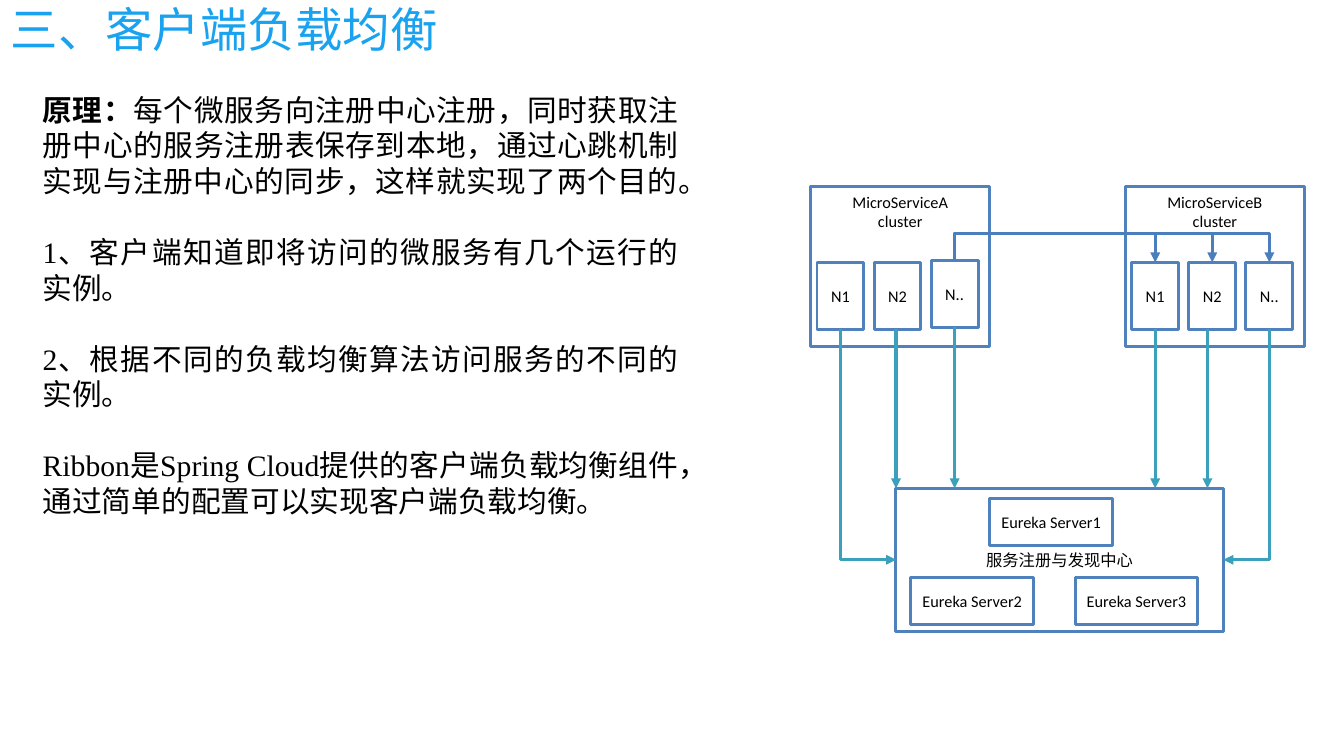
from lxml import etree
from pptx import Presentation
from pptx.dml.color import RGBColor
from pptx.enum.shapes import MSO_CONNECTOR, MSO_SHAPE
from pptx.enum.text import MSO_ANCHOR, MSO_AUTO_SIZE, PP_ALIGN
from pptx.oxml.ns import qn
from pptx.util import Inches, Pt

RECT = MSO_SHAPE.RECTANGLE
STRAIGHT, ELBOW = MSO_CONNECTOR.STRAIGHT, MSO_CONNECTOR.ELBOW
TOP, MIDDLE = MSO_ANCHOR.TOP, MSO_ANCHOR.MIDDLE
LEFT, CENTER, JUSTIFY = PP_ALIGN.LEFT, PP_ALIGN.CENTER, PP_ALIGN.JUSTIFY
NO_FIT = MSO_AUTO_SIZE.NONE

COLORS = {
    "title": "18A2EF",
    "text": "000000",
    "fill": "FFFFFF",
    "edge": "4F81BD",
    "call": "4B7EBC",
    "sync": "3BA0BB",
}
BODY = [
    ("原理：", "每个微服务向注册中心注册，同时获取注册中心的服务注册表保存到本地，"
              "通过心跳机制实现与注册中心的同步，这样就实现了两个目的。"),
    ("", "1、客户端知道即将访问的微服务有几个运行的实例。"),
    ("", "2、根据不同的负载均衡算法访问服务的不同的实例。"),
    ("", "Ribbon是Spring Cloud提供的客户端负载均衡组件，通过简单的配置可以实现客户端负载均衡。"),
]
NODES = ["N1", "N2", "N.."]
NODE_W, NODE_H, NODE_Y, STEP = 0.44, 0.63, 2.46, 0.535
HUB_X, HUB_Y, HUB_W, HUB_H = 8.4, 4.58, 3.07, 1.34
BUS_Y = 2.19


def color(name):
    return RGBColor.from_string(COLORS[name])


class Board:
    def __init__(self, slide):
        self.slide = slide
        self.shapes = slide.shapes

    def style(self, run, size, font, tone="text", bold=False):
        run.font.size = Pt(size)
        run.font.name = font
        run.font.bold = bold
        run.font.color.rgb = color(tone)

    def place(self, shape, x, y, w, h):
        shape.left, shape.top = Inches(x), Inches(y)
        shape.width, shape.height = Inches(w), Inches(h)

    def title(self, text):
        shape = self.shapes.title
        self.place(shape, 0, -0.01, 10.87, 0.56)
        frame = shape.text_frame
        frame.text = text
        frame.auto_size = NO_FIT
        frame.vertical_anchor = MIDDLE
        para = frame.paragraphs[0]
        para.alignment = LEFT
        self.style(para.runs[0], 32, "Arial", "title")

    def body(self, items):
        shape = self.slide.placeholders[1]
        self.place(shape, 0.3, 0.81, 6.16, 4.81)
        frame = shape.text_frame
        frame.auto_size = NO_FIT
        frame.vertical_anchor = TOP
        for i, (lead, text) in enumerate(items):
            para = frame.add_paragraph() if i else frame.paragraphs[0]
            para.alignment = JUSTIFY
            para.space_before = Pt(24 if i else 0)
            props = para._p.get_or_add_pPr()
            props.set("marL", "0")
            props.set("indent", "0")
            etree.SubElement(props, qn("a:buNone"))
            for part in filter(None, (lead, text)):
                run = para.add_run()
                run.text = part
                self.style(run, 20, "Times New Roman", bold=part == lead)

    def box(self, host, text, x, y, w, h, anchor=MIDDLE):
        shape = host.shapes.add_shape(
            RECT, Inches(x), Inches(y), Inches(w), Inches(h))
        shape.shadow.inherit = False
        shape.fill.solid()
        shape.fill.fore_color.rgb = color("fill")
        shape.line.color.rgb = color("edge")
        shape.line.width = Pt(2)
        frame = shape.text_frame
        frame.text = text
        frame.word_wrap = True
        frame.vertical_anchor = anchor
        frame.margin_left = frame.margin_right = Inches(0.05)
        for para in frame.paragraphs:
            para.alignment = CENTER
            self.style(para.runs[0], 11, "Calibri")

    def cluster(self, name, x, lift=0):
        """Draw a service with its nodes, the last one raised by lift; return node centres."""
        group = self.shapes.add_group_shape()
        self.box(group, f"{name}\ncluster", x, 1.75, 1.68, 1.5, TOP)
        mids = []
        for i, node in enumerate(NODES):
            left = x + 0.06 + i * STEP
            top = NODE_Y - (lift if node == NODES[-1] else 0)
            self.box(group, node, left, top, NODE_W, NODE_H)
            mids.append(left + NODE_W / 2)
        return mids

    def arrow(self, kind, x1, y1, x2, y2, tone):
        line = self.shapes.add_connector(
            kind, Inches(x1), Inches(y1), Inches(x2), Inches(y2))
        line.line.color.rgb = color(tone)
        line.line.width = Pt(2.25)
        etree.SubElement(line.line._get_or_add_ln(), qn("a:tailEnd"), type="triangle")
        etree.SubElement(line._element.spPr, qn("a:effectLst"))
        return line

    def bend(self, x1, y1, x2, y2, tone, via=None):
        """Draw an elbow that leaves vertically; via is the height of a middle leg."""
        long, wide = abs(y2 - y1), abs(x2 - x1)
        left = (x1 + x2 - long) / 2
        top = (y1 + y2 - wide) / 2
        right = x2 > x1
        start, end = (left + long, left) if right else (left, left + long)
        line = self.arrow(ELBOW, start, top, end, top + wide, tone)
        props = line._element.spPr
        props.find(qn("a:xfrm")).set("rot", "16200000" if right else "5400000")
        geom = props.find(qn("a:prstGeom"))
        geom.set("prst", "bentConnector2" if via is None else "bentConnector3")
        if via is not None:
            ratio = round((via - y1) / (y2 - y1) * 100000)
            etree.SubElement(geom.find(qn("a:avLst")), qn("a:gd"),
                             name="adj1", fmla=f"val {ratio}")


def main():
    deck = Presentation()
    deck.slide_width, deck.slide_height = Inches(12.6), Inches(7.09)
    board = Board(deck.slides.add_slide(deck.slide_layouts[1]))
    board.title("三、客户端负载均衡")
    board.body(BODY)

    lift = 0.02
    a_mids = board.cluster("MicroServiceA", 7.6, lift)
    b_mids = board.cluster("MicroServiceB", 10.55)

    hub = board.shapes.add_group_shape()
    board.box(hub, "服务注册与发现中心", HUB_X, HUB_Y, HUB_W, HUB_H)
    for i, (x, y) in enumerate([(9.28, 4.68), (8.54, 5.42), (10.08, 5.42)], 1):
        board.box(hub, f"Eureka Server{i}", x, y, 1.15, 0.44)

    foot, mid = NODE_Y + NODE_H, HUB_Y + HUB_H / 2
    caller = a_mids[-1]
    for x, y in [(HUB_X, foot), (caller, foot - lift), (b_mids[0], foot), (11.32, foot)]:
        board.arrow(STRAIGHT, x, y, x, HUB_Y, "sync")
    board.bend(a_mids[0], foot, HUB_X, mid, "sync")
    board.bend(b_mids[-1], foot, HUB_X + HUB_W, mid, "sync")
    for x in b_mids:
        board.bend(caller, NODE_Y - lift, x, NODE_Y, "call", BUS_Y)

    deck.save("out.pptx")


if __name__ == "__main__":
    main()
